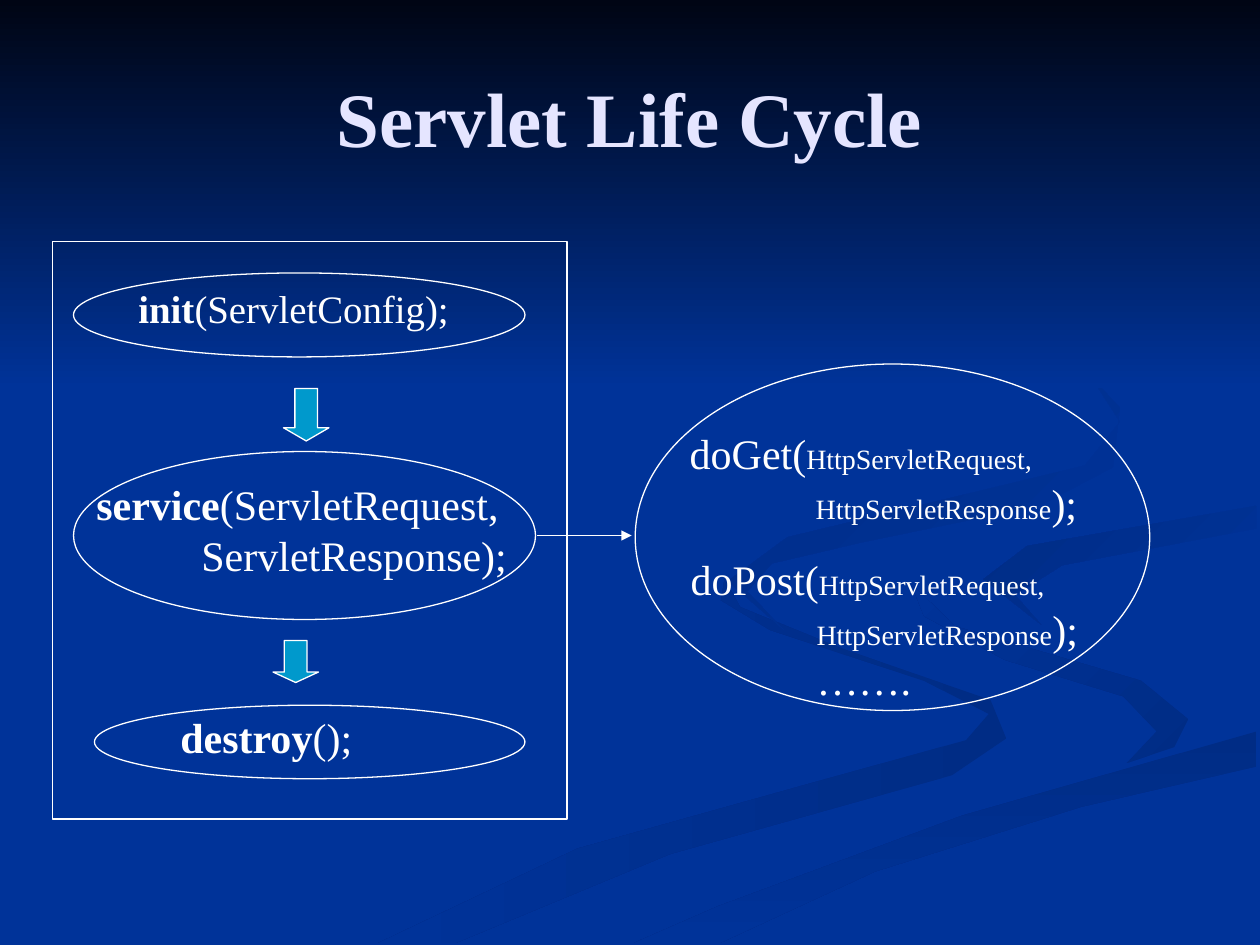
from dataclasses import dataclass

from lxml.etree import SubElement
from pptx import Presentation
from pptx.dml.color import RGBColor as RGB
from pptx.enum.shapes import MSO_CONNECTOR as LINE, MSO_SHAPE as SHAPE
from pptx.enum.text import MSO_ANCHOR as ANCHOR, PP_ALIGN as ALIGN
from pptx.oxml.ns import qn
from pptx.util import Pt


@dataclass(frozen=True)
class Theme:
    font: str = "Times New Roman"
    blue: str = "003399"
    shade: str = "002C85"
    night: str = "000514"
    text: str = "FFFFFF"
    title: str = "E5E5FF"
    arrow: str = "0099CC"
    title_size: float = 44
    body: float = 24
    init: float = 22.2
    small: float = 16
    outline: float = 0.75
    link: float = 1


T = Theme()

# Ribbons: gradient start, gradient end, clockwise angle, outline in points
RIBBONS = [
    (T.shade, T.blue, 180, [
        (414, 331), (412, 343), (440, 360), (528, 389), (565, 408), (552, 423),
        (469, 446), (330, 485), (216, 539), (260, 539), (383, 488), (544, 443),
        (575, 422), (566, 400), (482, 371), (423, 347)]),
    (T.shade, T.blue, 225, [
        (521, 334), (528, 352), (574, 377), (642, 398), (661, 418), (644, 436),
        (671, 427), (679, 411), (652, 389), (546, 358)]),
    (T.shade, T.blue, 90, [
        (362, 539), (411, 539), (500, 498), (618, 461), (718, 438), (718, 418),
        (550, 466), (410, 518)]),
    (T.blue, T.shade, 225, [
        (562, 331), (595, 357), (580, 340), (607, 323), (718, 302), (718, 289),
        (587, 312)]),
    (T.blue, T.shade, 225, [
        (492, 310), (594, 289), (636, 267), (640, 233), (607, 198), (549, 168),
        (620, 210), (640, 241), (620, 266), (450, 307), (416, 332), (448, 360),
        (427, 338), (441, 322)]),
]


def fill_gradient(sp, start, end, angle):
    sp.fill.gradient()
    sp.fill.gradient_angle = (360 - angle) % 360
    for stop, color, pos in zip(sp.fill.gradient_stops, (start, end), (0, 1)):
        stop.color.rgb = RGB.from_string(color)
        stop.position = pos
    sp.line.fill.background()
    sp.shadow.inherit = False


def add_outlined(s, kind, x, y, w, h, fill=None):
    sp = s.shapes.add_shape(kind, Pt(x), Pt(y), Pt(w), Pt(h))
    sp.shadow.inherit = False
    if fill:
        sp.fill.solid()
        sp.fill.fore_color.rgb = RGB.from_string(fill)
    else:
        sp.fill.background()
    sp.line.color.rgb = RGB.from_string(T.text)
    sp.line.width = Pt(T.outline)
    return sp


def add_text(s, x, y, w, h, lines, color=T.text, indent=0):
    """Each line is a list of (text, size, bold); lines after the first are indented."""
    tf = s.shapes.add_textbox(Pt(x), Pt(y), Pt(w), Pt(h)).text_frame
    tf.word_wrap = True
    for i, runs in enumerate(lines):
        p = tf.add_paragraph() if i else tf.paragraphs[0]
        if i:
            p._p.get_or_add_pPr().set("marL", str(Pt(indent)))
        for text, size, bold in runs:
            r = p.add_run()
            r.text = text
            r.font.name, r.font.size, r.font.bold = T.font, Pt(size), bold
            r.font.color.rgb = RGB.from_string(color)
    return tf


def add_backdrop(s, x, y, w, h):
    s.background.fill.solid()
    s.background.fill.fore_color.rgb = RGB.from_string(T.blue)
    for start, end, angle, outline in RIBBONS:
        fb = s.shapes.build_freeform(*outline[0], scale=Pt(1))
        fb.add_line_segments(outline[1:], close=True)
        fill_gradient(fb.convert_to_shape(Pt(x), Pt(y)), start, end, angle)
    band = s.shapes.add_shape(SHAPE.RECTANGLE, Pt(x), Pt(y), Pt(w), Pt(h))
    fill_gradient(band, T.night, T.blue, 90)


def add_title(s, x, y, w, h):
    tf = add_text(s, x, y, w, h, [[("Servlet Life Cycle", T.title_size, True)]], T.title)
    tf.vertical_anchor = ANCHOR.MIDDLE
    tf.paragraphs[0].alignment = ALIGN.CENTER


def add_life_cycle(s, x, y, w, h):
    # Stage texts
    tf = add_text(s, x + 42, y + 24, 222, 36,
                  [[("init", T.init, True), ("(ServletConfig);", T.init, False)]])
    tf.paragraphs[0].line_spacing = 0.9
    add_text(s, x + 18, y + 132, 264, 65,
             [[("service", T.body, True), ("(ServletRequest,", T.body, False)],
              [("ServletResponse);", T.body, False)]], indent=60)
    add_text(s, x + 66, y + 265, 138, 36,
             [[("destroy", T.body, True), ("();", T.body, False)]])
    # Stage ovals
    for dx, dy, ow, oh in ((12, 18, 258, 48), (12, 120, 264, 96), (24, 265, 246, 42)):
        add_outlined(s, SHAPE.OVAL, x + dx, y + dy, ow, oh)
    # Arrows between stages
    for dx, dy, ah, head in ((132, 84, 30, 0.29), (126, 228, 24, 0.25)):
        sp = add_outlined(s, SHAPE.DOWN_ARROW, x + dx, y + dy, 26, ah, T.arrow)
        sp.adjustments[1] = head
    # Frame
    add_outlined(s, SHAPE.RECTANGLE, x, y, w, h)


def add_handlers(s, x, y, w, h):
    def call(name):
        return [[(name + "(", T.body, False), ("HttpServletRequest,", T.small, False)],
                [("HttpServletResponse", T.small, False), (");", T.body, False)]]

    add_text(s, x + 24, y + 32.5, 251, 65, call("doGet"), indent=72)
    add_text(s, x + 24.5, y + 104.5, 251, 94,
             call("doPost") + [[("…….", T.body, False)]], indent=72)
    add_outlined(s, SHAPE.OVAL, x, y, w, h)


def add_link(s, x1, x2, y):
    c = s.shapes.add_connector(LINE.STRAIGHT, Pt(x1), Pt(y), Pt(x2), Pt(y))
    c.line.color.rgb = RGB.from_string(T.text)
    c.line.width = Pt(T.link)
    SubElement(c.line._get_or_add_ln(), qn("a:tailEnd"), type="triangle")
    SubElement(c._element.spPr, qn("a:effectLst"))


def main():
    prs = Presentation()
    prs.slide_width, prs.slide_height = Pt(720), Pt(540)
    s = prs.slides.add_slide(prs.slide_layouts[6])
    add_backdrop(s, 0, 0, 720, 222)
    add_title(s, 36, 21.6, 648, 90)
    add_life_cycle(s, 30, 138, 294, 330)
    add_handlers(s, 363, 208, 294, 198)
    add_link(s, 307, 361, 306)
    prs.save("out.pptx")


if __name__ == "__main__":
    main()
